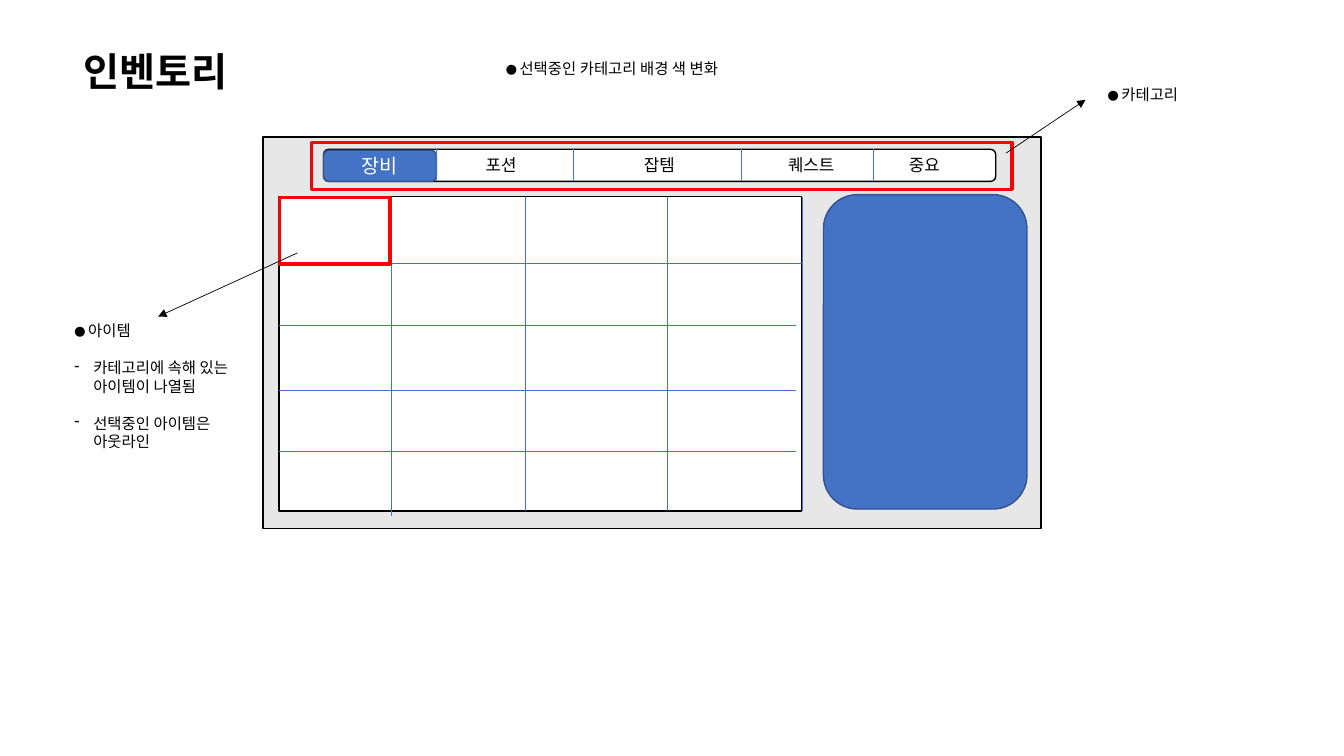
from dataclasses import dataclass

from lxml.etree import SubElement
from pptx import Presentation
from pptx.dml.color import RGBColor
from pptx.enum.shapes import MSO_CONNECTOR, MSO_SHAPE
from pptx.enum.text import MSO_ANCHOR, MSO_AUTO_SIZE, PP_ALIGN
from pptx.oxml.ns import qn
from pptx.util import Pt


@dataclass(frozen=True)
class Theme:
    black: str = "000000"
    white: str = "FFFFFF"
    gray: str = "D9D9D9"
    blue: str = "4472C4"
    navy: str = "325491"
    red: str = "FF0000"
    head_font: str = "Arial"
    body_font: str = "Noto Sans CJK KR"
    head: float = 28
    active: float = 14
    tab: float = 12
    note: float = 11
    dot: float = 8
    thin: float = 0.5
    edge: float = 1
    frame: float = 2.25
    gap: float = 13.2
    indent: float = 13.5


THEME = Theme()


@dataclass(frozen=True)
class Area:
    left: float
    top: float
    width: float
    height: float


@dataclass(frozen=True)
class Box:
    area: Area
    fill: str | None = None
    line: str = THEME.black
    weight: float = THEME.edge
    round: bool = False
    alpha: int = 100
    text: str = ""


@dataclass(frozen=True)
class Line:
    x1: float
    y1: float
    x2: float
    y2: float
    color: str = THEME.blue
    arrow: bool = False


@dataclass(frozen=True)
class Tab:
    text: str
    left: float
    width: float


@dataclass(frozen=True)
class Note:
    area: Area
    head: str
    items: tuple[str, ...] = ()


GRID = Area(199.4, 140.4, 373.2, 224.6)
BOTTOM = GRID.top + GRID.height
EDGE = 573.1
ROW_END = 568.8
BAR = Area(231.1, 106.6, 480.2, 23)

BACK = [
    Box(Area(187.9, 97.9, 555.8, 279.4), THEME.gray, alpha=61),
    Box(BAR, THEME.white, round=True),
    Box(GRID, THEME.white),
]
TABS = [
    Tab("포션", 339.8, 46.8),
    Tab("잡템", 452.9, 46.8),
    Tab("퀘스트", 555.8, 61.2),
    Tab("중요", 642.2, 49),
]
LINES = [Line(x, GRID.top, x, BOTTOM) for x in (375.1, 476.6, EDGE)]
LINES += [Line(279.4, 144, 279.4, 368.6)]
LINES += [
    Line(GRID.left, y, end, y)
    for y, end in ((188.3, EDGE), (232.6, ROW_END), (278.6, ROW_END), (322.6, ROW_END))
]
PANELS = [
    Box(Area(BAR.left, 107.3, 80.6, 22.3), THEME.blue, THEME.navy, round=True, text="장비"),
    Box(Area(588.2, 139, 145.4, 224.6), THEME.blue, THEME.navy, round=True),
]
SPLITS = [Line(x, BAR.top, x, BAR.top + BAR.height) for x in (311.8, 409.7, 529.2, 624.2)]
FRAMES = [
    Box(Area(GRID.left, 141.1, 79.2, 47.5), line=THEME.red, weight=THEME.frame),
    Box(Area(222.5, 101.5, 500.4, 33.8), line=THEME.red, weight=THEME.frame),
]
ARROWS = [
    Line(718.6, 109.4, 775.4, 71.3, THEME.black, True),
    Line(212.4, 180.7, 113, 226.1, THEME.black, True),
]
NOTES = [
    Note(Area(784.1, 57.6, 75.6, 20.9), "카테고리"),
    Note(
        Area(46.1, 226.1, 133.9, 100.8),
        "아이템",
        ("카테고리에 속해 있는 아이템이 나열됨", "선택중인 아이템은 아웃라인"),
    ),
    Note(Area(354.2, 38.9, 200.9, 20.9), "선택중인 카테고리 배경 색 변화"),
]


def apply(target, values: dict) -> None:
    for name, value in values.items():
        setattr(target, name, value)


def place(area: Area) -> tuple:
    return Pt(area.left), Pt(area.top), Pt(area.width), Pt(area.height)


def write(para, text: str, size: float, color: str = THEME.black,
          face: str = THEME.body_font, bold: bool = False) -> None:
    """Add a run, with the same face for Latin and Korean letters."""
    run = para.add_run()
    run.text = text
    apply(run.font, {"size": Pt(size), "name": face, "bold": bold})
    run.font.color.rgb = RGBColor.from_string(color)
    SubElement(run.font._element, qn("a:ea"), typeface=face)


def draw_box(slide, box: Box) -> None:
    kind = MSO_SHAPE.ROUNDED_RECTANGLE if box.round else MSO_SHAPE.RECTANGLE
    shape = slide.shapes.add_shape(kind, *place(box.area))
    shape.shadow.inherit = False
    shape.line.color.rgb = RGBColor.from_string(box.line)
    shape.line.width = Pt(box.weight)
    if box.fill is None:
        shape.fill.background()
    else:
        shape.fill.solid()
        shape.fill.fore_color.rgb = RGBColor.from_string(box.fill)
    if box.alpha < 100:
        color = shape._element.spPr.find(qn("a:solidFill"))[0]
        SubElement(color, qn("a:alpha"), val=str(box.alpha * 1000))
    if box.text:
        shape.text_frame.vertical_anchor = MSO_ANCHOR.MIDDLE
        para = shape.text_frame.paragraphs[0]
        para.alignment = PP_ALIGN.CENTER
        write(para, box.text, THEME.active, THEME.white)


def draw_line(slide, line: Line) -> None:
    link = slide.shapes.add_connector(
        MSO_CONNECTOR.STRAIGHT, Pt(line.x1), Pt(line.y1), Pt(line.x2), Pt(line.y2)
    )
    link.line.color.rgb = RGBColor.from_string(line.color)
    link.line.width = Pt(THEME.thin)
    if line.arrow:
        SubElement(link.line._get_or_add_ln(), qn("a:tailEnd"), type="triangle")
    SubElement(link._element.spPr, qn("a:effectLst"))


def add_text(slide, area: Area):
    frame = slide.shapes.add_textbox(*place(area)).text_frame
    apply(frame, {"word_wrap": True, "auto_size": MSO_AUTO_SIZE.SHAPE_TO_FIT_TEXT})
    return frame


def draw_tab(slide, tab: Tab) -> None:
    frame = add_text(slide, Area(tab.left, 107.3, tab.width, 21.6))
    write(frame.paragraphs[0], tab.text, THEME.tab)


def draw_note(slide, note: Note) -> None:
    frame = add_text(slide, note.area)
    write(frame.paragraphs[0], "● ", THEME.dot)
    write(frame.paragraphs[0], note.head, THEME.note)
    for item in note.items:
        para = frame.add_paragraph()
        para.space_before = Pt(THEME.gap)
        props = para._p.get_or_add_pPr()
        props.set("marL", str(Pt(THEME.indent)))
        props.set("indent", str(-Pt(THEME.indent)))
        SubElement(props, qn("a:buChar"), char="-")
        write(para, item, THEME.note)


def draw_title(slide, text: str) -> None:
    title = slide.shapes.title
    spots = place(Area(52.6, 30.2, 234.7, 41))
    apply(title, dict(zip(("left", "top", "width", "height"), spots)))
    frame = title.text_frame
    apply(frame, {
        "word_wrap": True,
        "auto_size": MSO_AUTO_SIZE.SHAPE_TO_FIT_TEXT,
        "vertical_anchor": MSO_ANCHOR.TOP,
    })
    frame.paragraphs[0].alignment = PP_ALIGN.LEFT
    write(frame.paragraphs[0], text, THEME.head, face=THEME.head_font, bold=True)


def main() -> None:
    deck = Presentation()
    apply(deck, {"slide_width": Pt(960), "slide_height": Pt(540)})
    slide = deck.slides.add_slide(deck.slide_layouts[5])
    draw_title(slide, "인벤토리")
    tools = {Box: draw_box, Line: draw_line, Tab: draw_tab, Note: draw_note}
    for part in BACK + TABS + LINES + PANELS + SPLITS + FRAMES + ARROWS + NOTES:
        tools[type(part)](slide, part)
    deck.save("out.pptx")


if __name__ == "__main__":
    main()
